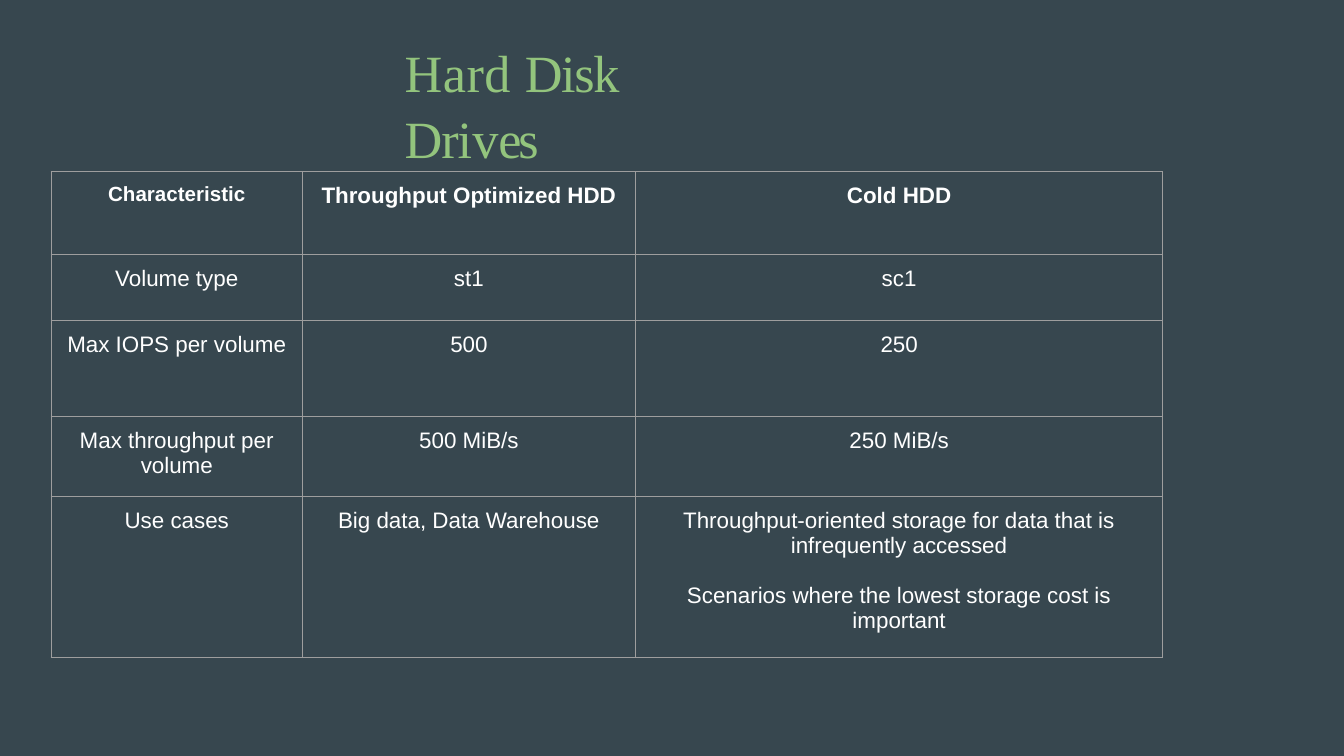
import pptx
import pptx.util
import pptx.dml.color
import pptx.enum.text
import pptx.oxml
import pptx.oxml.ns

Pt = pptx.util.Pt
ALIGN = pptx.enum.text.PP_ALIGN
ANCHOR = pptx.enum.text.MSO_ANCHOR

# Content: title runs carry their letter spacing in points
HEAD = [("Hard ", 0.3), ("Disk ", -0.7), ("Dri", -0.5), ("v", -1.2), ("es", -1.7)]
ROWS = [
    ["Characteristic", "Throughput Optimized HDD", "Cold HDD"],
    ["Volume type", "st1", "sc1"],
    ["Max IOPS per volume", "500", "250"],
    ["Max throughput per volume", "500 MiB/s", "250 MiB/s"],
    ["Use cases", "Big data, Data Warehouse",
     "Throughput-oriented storage for data that is infrequently accessed\n"
     "Scenarios where the lowest storage cost is important"],
]
WIDE = [134.5, 178.5, 282.5]
HIGH = [44.5, 35.25, 51.25, 43.25, 86.25]
LEFT, TOP = 27.5, 92
COLOR = {"back": "37474F", "head": "93C47D", "text": "FFFFFF", "line": "9E9E9E"}


def paint(fill, key):
    fill.solid()
    fill.fore_color.rgb = pptx.dml.color.RGBColor.from_string(COLOR[key])


def write(frame, text, font="Arial", size=12, color="text", bold=False,
          align=ALIGN.CENTER, gap=0, lead=1.0):
    """Fill a frame; text is a string, or a list of (words, spacing) runs."""
    paras = text.split("\n") if isinstance(text, str) else [text]
    for i, para in enumerate(paras):
        p = frame.paragraphs[0] if i == 0 else frame.add_paragraph()
        p.alignment, p.line_spacing = align, lead
        p.space_before = Pt(gap if i else 0)
        for words, space in [(para, 0)] if isinstance(para, str) else para:
            run = p.add_run()
            run.text = words
            run.font.name, run.font.size, run.font.bold = font, Pt(size), bold
            paint(run.font.fill, color)
            if space:
                run._r.get_or_add_rPr().set("spc", str(round(space * 100)))


def edge(cell):
    """Draw a thin line on all four sides of a cell."""
    for side in "LRTB":
        cell._tc.get_or_add_tcPr().append(pptx.oxml.parse_xml(
            f'<a:ln{side} {pptx.oxml.ns.nsdecls("a")} w="{int(Pt(0.75))}"><a:solidFill>'
            f'<a:srgbClr val="{COLOR["line"]}"/></a:solidFill></a:ln{side}>'))


deck = pptx.Presentation()
deck.slide_width, deck.slide_height = Pt(720), Pt(405)
slide = deck.slides.add_slide(deck.slide_layouts[5])
paint(slide.background.fill, "back")

# Title
title = slide.shapes.title
title.left, title.top, title.width, title.height = Pt(216), Pt(18), Pt(187), Pt(35)
frame = title.text_frame
frame.word_wrap = True
frame.auto_size = pptx.enum.text.MSO_AUTO_SIZE.SHAPE_TO_FIT_TEXT
frame.vertical_anchor = ANCHOR.TOP
frame.margin_left, frame.margin_right = Pt(0.75), 0
frame.margin_top, frame.margin_bottom = Pt(2), 0
write(frame, HEAD, font="Times New Roman", size=28, color="head",
      align=ALIGN.LEFT, lead=1.05)

# Table
table = slide.shapes.add_table(len(ROWS), len(WIDE), Pt(LEFT), Pt(TOP),
                               Pt(sum(WIDE)), Pt(sum(HIGH))).table
table.first_row = table.horz_banding = False
for col, wide in zip(table.columns, WIDE):
    col.width = Pt(wide)
for r, (row, high) in enumerate(zip(ROWS, HIGH)):
    table.rows[r].height = Pt(high)
    for c, text in enumerate(row):
        cell = table.cell(r, c)
        side = 25 if "\n" in text else 0
        cell.margin_left = cell.margin_right = Pt(side)
        cell.margin_top, cell.margin_bottom = Pt(6.25), 0
        cell.vertical_anchor = ANCHOR.TOP
        edge(cell)
        paint(cell.fill, "back")
        write(cell.text_frame, text, size=11 if r == c == 0 else 12,
              bold=r == 0, gap=13.25)

deck.save("out.pptx")
